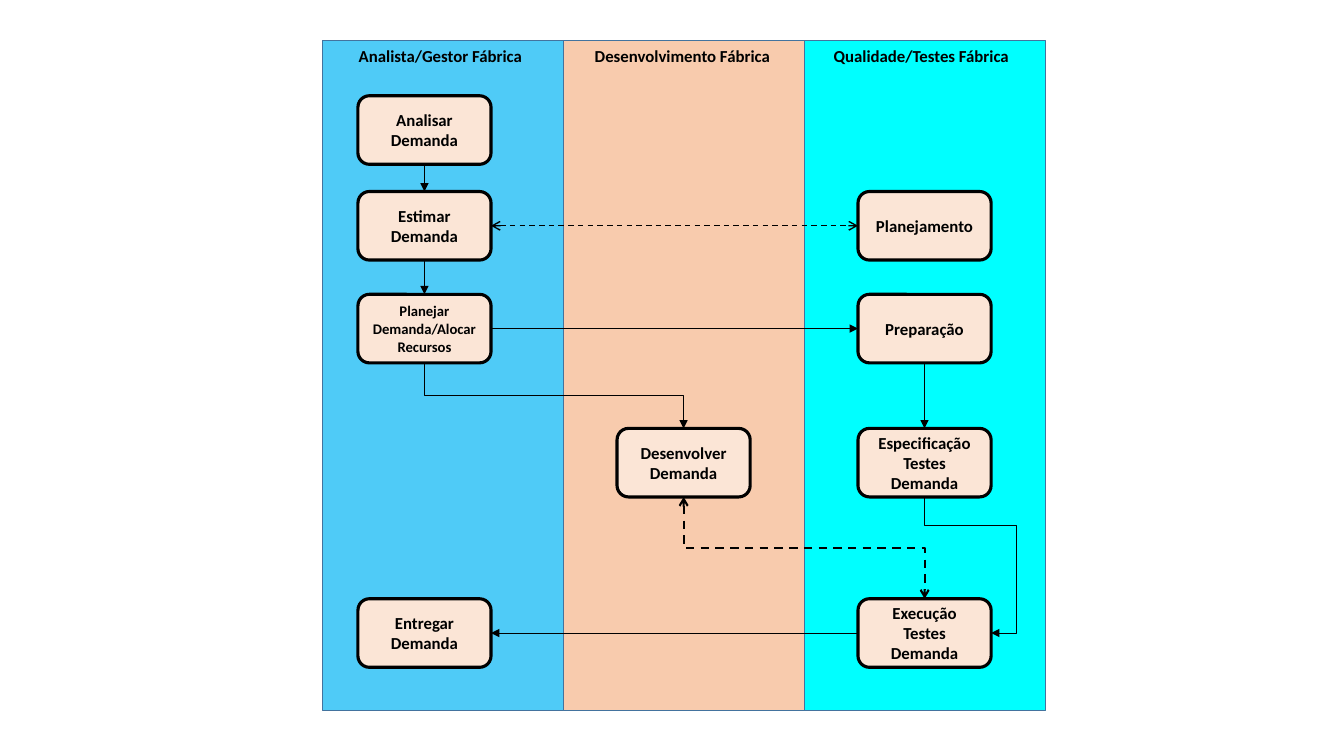
from lxml import etree
from pptx import Presentation
from pptx.dml.color import RGBColor
from pptx.enum.dml import MSO_LINE
from pptx.enum.shapes import MSO_CONNECTOR, MSO_SHAPE
from pptx.enum.text import MSO_ANCHOR, PP_ALIGN
from pptx.oxml.ns import qn
from pptx.util import Inches, Pt

BLACK = RGBColor(0x00, 0x00, 0x00)
BLUE = RGBColor(0x4F, 0xCB, 0xF7)
PEACH = RGBColor(0xF8, 0xCB, 0xAD)
CYAN = RGBColor(0x00, 0xFF, 0xFF)
CREAM = RGBColor(0xFB, 0xE5, 0xD6)
LANE_BORDER = RGBColor(0x43, 0x73, 0x9E)

TOP, LEFT, BOTTOM, RIGHT = range(4)
LANE_LEFT, LANE_TOP, LANE_WIDTH, LANE_HEIGHT = 3.2, 0.4, 2.39, 6.65
TASK_WIDTH, TASK_HEIGHT = 1.32, 0.68
ANALYST_X, DEVELOPER_X, TESTER_X = 3.55, 6.12, 8.51
ESTIMATE_Y, PLAN_Y, BUILD_Y, DELIVER_Y = 1.9, 2.92, 4.25, 5.94


class Flowchart:
    font = "Calibri"

    def __init__(self, slide):
        self.shapes = slide.shapes

    def set_text(self, shape, text, size, align):
        frame = shape.text_frame
        frame.word_wrap = True
        paragraph = frame.paragraphs[0]
        paragraph.alignment = align
        run = paragraph.add_run()
        run.text = text
        run.font.name = self.font
        run.font.size = Pt(size)
        run.font.bold = True
        run.font.color.rgb = BLACK

    def box(self, kind, x, y, width, height, fill, border, weight):
        shape = self.shapes.add_shape(kind, Inches(x), Inches(y), Inches(width), Inches(height))
        shape.shadow.inherit = False
        shape.fill.solid()
        shape.fill.fore_color.rgb = fill
        shape.line.color.rgb = border
        shape.line.width = Pt(weight)
        return shape

    def lane(self, x, fill):
        self.box(MSO_SHAPE.RECTANGLE, x, LANE_TOP, LANE_WIDTH, LANE_HEIGHT, fill, LANE_BORDER, 1)

    def title(self, text, x, width):
        label = self.shapes.add_textbox(Inches(x), Inches(LANE_TOP), Inches(width), Inches(0.3))
        self.set_text(label, text, 12, PP_ALIGN.LEFT)

    def task(self, text, x, y, size=12):
        shape = self.box(MSO_SHAPE.ROUNDED_RECTANGLE, x, y, TASK_WIDTH, TASK_HEIGHT,
                         CREAM, BLACK, 2.25)
        shape.text_frame.vertical_anchor = MSO_ANCHOR.MIDDLE
        self.set_text(shape, text, size, PP_ALIGN.CENTER)
        return shape

    def arrow(self, start, start_side, end, end_side, weight=0.5, two_way=False,
              kind=MSO_CONNECTOR.STRAIGHT):
        connector = self.shapes.add_connector(kind, 0, 0, 0, 0)
        connector.begin_connect(start, start_side)
        connector.end_connect(end, end_side)
        connector.line.color.rgb = BLACK
        connector.line.width = Pt(weight)
        if two_way:
            connector.line.dash_style = MSO_LINE.DASH
        properties = connector.element.spPr
        line = properties.find(qn("a:ln"))
        head = "arrow" if two_way else "triangle"
        for tag in ("a:headEnd", "a:tailEnd") if two_way else ("a:tailEnd",):
            etree.SubElement(line, qn(tag), type=head)
        etree.SubElement(properties, qn("a:effectLst"))
        return connector

    def elbow(self, start, end, end_side, weight, two_way=False, bends=()):
        connector = self.arrow(start, BOTTOM, end, end_side, weight, two_way, MSO_CONNECTOR.ELBOW)
        x, y = connector.begin_x, connector.begin_y
        across, down = connector.end_x - x, connector.end_y - y
        connector.left, connector.top = x + (across - down) // 2, y + (down - across) // 2
        connector.width, connector.height = down, across
        properties = connector.element.spPr
        frame = properties.find(qn("a:xfrm"))
        frame.attrib.pop("flipV", None)
        frame.set("flipH", "1")
        frame.set("rot", "16200000")
        if bends:
            geometry = properties.find(qn("a:prstGeom"))
            geometry.set("prst", "bentConnector4")
            guides = geometry.find(qn("a:avLst"))
            for number, share in enumerate(bends, 1):
                etree.SubElement(guides, qn("a:gd"), name=f"adj{number}",
                                 fmla=f"val {round(share * 100000)}")


presentation = Presentation()
presentation.slide_width, presentation.slide_height = Inches(13.33), Inches(7.5)
chart = Flowchart(presentation.slides.add_slide(presentation.slide_layouts[6]))

for index, fill in enumerate((BLUE, PEACH, CYAN)):
    chart.lane(LANE_LEFT + index * LANE_WIDTH, fill)
for title, x, width in (("Analista/Gestor Fábrica", 3.46, 1.87),
                        ("Desenvolvimento Fábrica", 5.8, 2.01),
                        ("Qualidade/Testes Fábrica", 8.17, 2)):
    chart.title(title, x, width)

analyse = chart.task("Analisar Demanda", ANALYST_X, 0.95)
estimate = chart.task("Estimar Demanda", ANALYST_X, ESTIMATE_Y)
plan = chart.task("Planejar Demanda/Alocar Recursos", ANALYST_X, PLAN_Y, 10.5)
deliver = chart.task("Entregar Demanda", ANALYST_X, DELIVER_Y)
develop = chart.task("Desenvolver Demanda", DEVELOPER_X, BUILD_Y)
test_plan = chart.task("Planejamento", TESTER_X, ESTIMATE_Y)
prepare = chart.task("Preparação", TESTER_X, PLAN_Y)
specify = chart.task("Especificação Testes Demanda", TESTER_X, BUILD_Y)
execute = chart.task("Execução Testes Demanda", TESTER_X, DELIVER_Y)

for upper, lower in ((analyse, estimate), (estimate, plan), (prepare, specify)):
    chart.arrow(upper, BOTTOM, lower, TOP)
chart.arrow(estimate, RIGHT, test_plan, LEFT, 1, two_way=True)
chart.arrow(plan, RIGHT, prepare, LEFT)
chart.arrow(execute, LEFT, deliver, RIGHT)
chart.elbow(plan, develop, TOP, 1)
chart.elbow(develop, execute, TOP, 1.5, two_way=True)
chart.elbow(specify, execute, RIGHT, 0.5, bends=(0.21, 1.38))

presentation.save("out.pptx")
